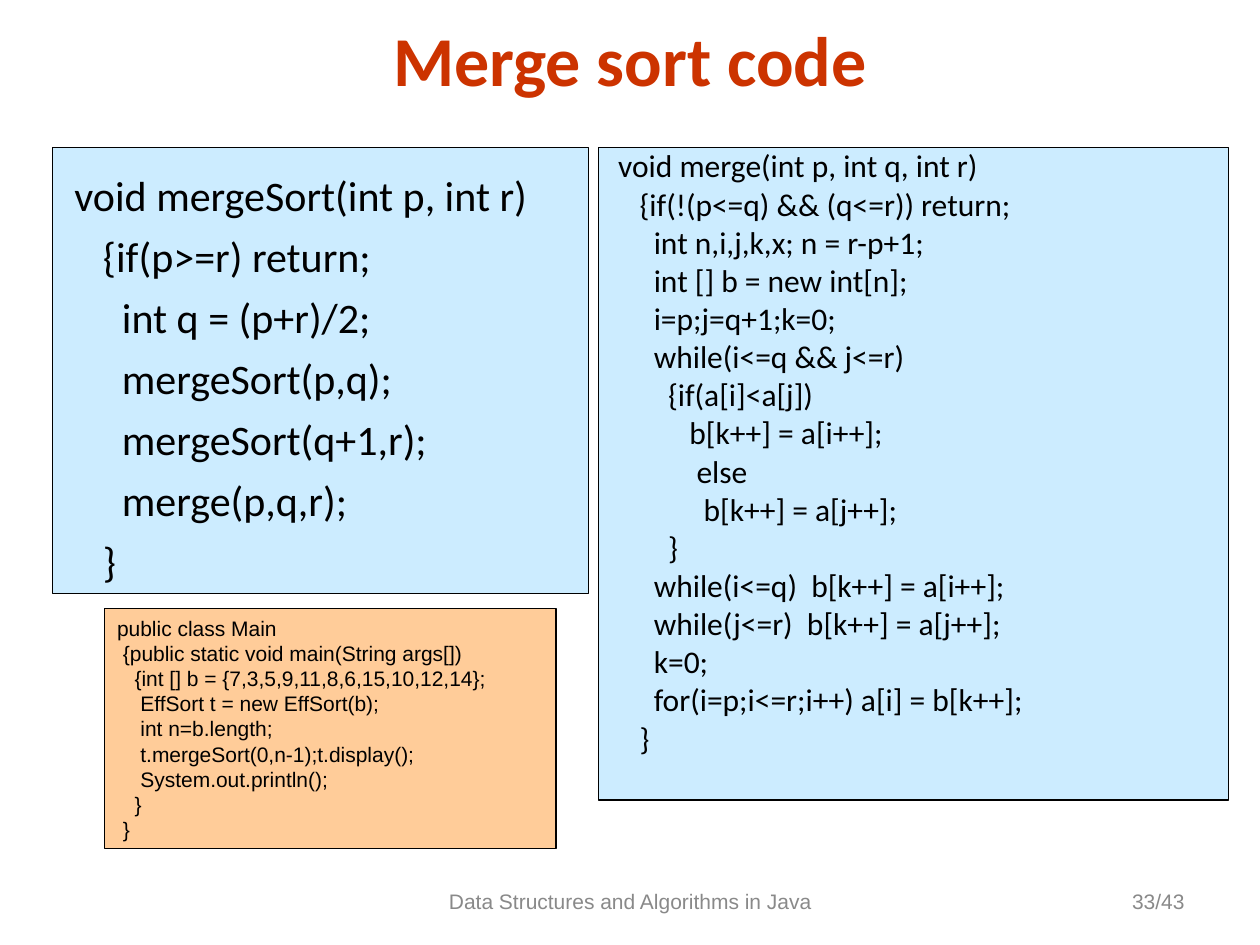
import dataclasses

import pptx
import pptx.dml.color
import pptx.enum.shapes
import pptx.enum.text
import pptx.util

Cm = pptx.util.Cm
Pt = pptx.util.Pt
ALIGN = pptx.enum.text.PP_ALIGN
ANCHOR = pptx.enum.text.MSO_ANCHOR


@dataclasses.dataclass(frozen=True)
class Theme:
    title_color: str = "CC3300"
    code_color: str = "000000"
    footer_color: str = "898989"
    method_fill: str = "CCECFF"
    main_fill: str = "FFCC99"
    heading_font: str = "Calibri"
    plain_font: str = "Arial"
    title_size: int = 40
    sort_size: int = 24
    merge_size: int = 18
    small_size: int = 12


THEME = Theme()
# Width of one space as a share of the type size
SPACE_WIDTH = {"Calibri": 0.226, "Arial": 0.278}

MERGE_SORT = """\
 void mergeSort(int p, int r)
    {if(p>=r) return;
      int q = (p+r)/2;
      mergeSort(p,q);
      mergeSort(q+1,r);
      merge(p,q,r);
    }"""

MERGE = """\
 void merge(int p, int q, int r)
    {if(!(p<=q) && (q<=r)) return;
      int n,i,j,k,x; n = r-p+1;
      int [] b = new int[n];
      i=p;j=q+1;k=0;
      while(i<=q && j<=r)
        {if(a[i]<a[j])
           b[k++] = a[i++];
            else
             b[k++] = a[j++];
        }
      while(i<=q)  b[k++] = a[i++];
      while(j<=r)  b[k++] = a[j++];
      k=0;
      for(i=p;i<=r;i++) a[i] = b[k++];
    }"""

MAIN_CLASS = """\
public class Main
 {public static void main(String args[])
   {int [] b = {7,3,5,9,11,8,6,15,10,12,14};
    EffSort t = new EffSort(b);
    int n=b.length;
    t.mergeSort(0,n-1);t.display();
    System.out.println();
   }
 }"""


def rgb(value):
    return pptx.dml.color.RGBColor.from_string(value)


def apply(target, values):
    for name, value in values.items():
        setattr(target, name, value)


def set_frame(frame, anchor, top=0.13):
    apply(frame, {
        "word_wrap": True, "vertical_anchor": anchor,
        "margin_left": Cm(0.25), "margin_right": Cm(0.25),
        "margin_top": Cm(top), "margin_bottom": Cm(0.13),
    })


def write(paragraph, text, font, size, color, bold=False):
    run = paragraph.add_run()
    run.text = text
    apply(run.font, {"name": font, "size": Pt(size), "bold": bold})
    run.font.color.rgb = rgb(color)


def add_label(slide, box, text, align, font, size, color, bold=False):
    label = slide.shapes.add_textbox(*map(Cm, box)).text_frame
    set_frame(label, ANCHOR.MIDDLE)
    label.paragraphs[0].alignment = align
    write(label.paragraphs[0], text, font, size, color, bold)


def add_code(slide, box, code, fill, font, size, spacing, top=0.13):
    """Code panel; the leading spaces of each line become its indent."""
    panel = slide.shapes.add_shape(
        pptx.enum.shapes.MSO_SHAPE.RECTANGLE, *map(Cm, box))
    panel.shadow.inherit = False
    panel.fill.solid()
    panel.fill.fore_color.rgb = rgb(fill)
    panel.line.color.rgb = rgb(THEME.code_color)
    panel.line.width = Pt(0.75)
    set_frame(panel.text_frame, ANCHOR.TOP, top)

    for number, line in enumerate(code.splitlines()):
        frame = panel.text_frame
        paragraph = frame.add_paragraph() if number else frame.paragraphs[0]
        apply(paragraph, {"alignment": ALIGN.LEFT, **spacing})
        statement = line.lstrip()
        depth = len(line) - len(statement)
        indent = Pt(round(depth * SPACE_WIDTH[font] * size, 2))
        paragraph._p.get_or_add_pPr().set("marL", str(int(indent)))
        write(paragraph, statement, font, size, THEME.code_color)


def main():
    deck = pptx.Presentation()
    apply(deck, {"slide_width": Cm(25.4), "slide_height": Cm(19.05)})
    slide = deck.slides.add_slide(deck.slide_layouts[6])

    # Title
    add_label(slide, (1.27, 0.2, 22.86, 1.96), "Merge sort code", ALIGN.CENTER,
              THEME.heading_font, THEME.title_size, THEME.title_color, True)

    # Methods and the class that runs them
    add_code(slide, (12.07, 2.97, 12.7, 13.16), MERGE, THEME.method_fill,
             THEME.heading_font, THEME.merge_size,
             {"line_spacing": 0.8, "space_before": Pt(4.5)})
    add_code(slide, (2.11, 12.27, 9.1, 4.83), MAIN_CLASS, THEME.main_fill,
             THEME.plain_font, THEME.small_size, {})
    add_code(slide, (1.06, 2.97, 10.8, 8.99), MERGE_SORT, THEME.method_fill,
             THEME.heading_font, THEME.sort_size,
             {"space_before": Pt(6)}, top=0.45)

    # Footer and page number
    for box, text, align in (
        ((8.05, 17.65, 9.32, 1.02),
         "Data Structures and Algorithms in Java", ALIGN.CENTER),
        ((18.21, 17.65, 5.92, 1.02), "33/43", ALIGN.RIGHT),
    ):
        add_label(slide, box, text, align, THEME.plain_font,
                  THEME.small_size, THEME.footer_color)

    deck.save("out.pptx")


if __name__ == "__main__":
    main()
